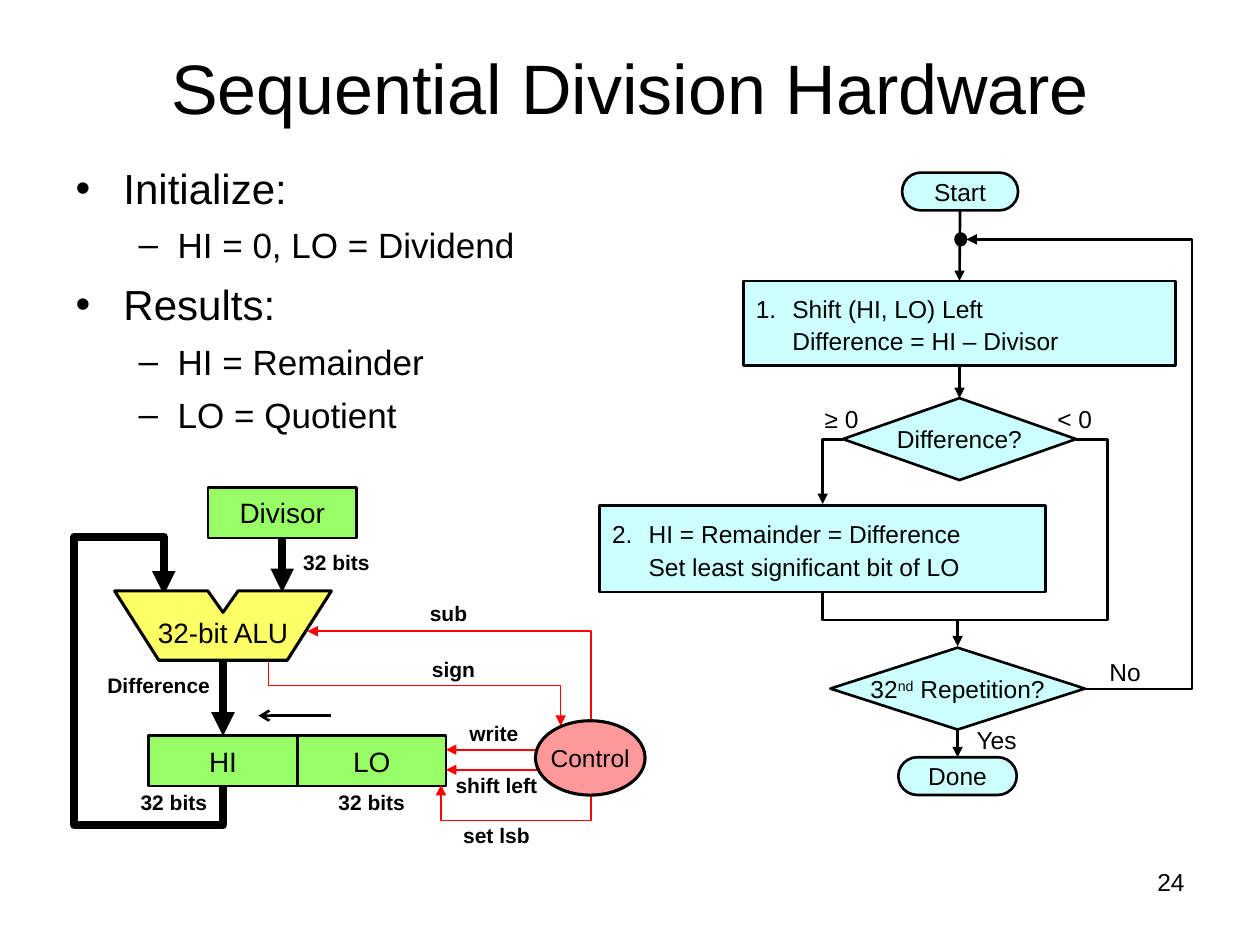
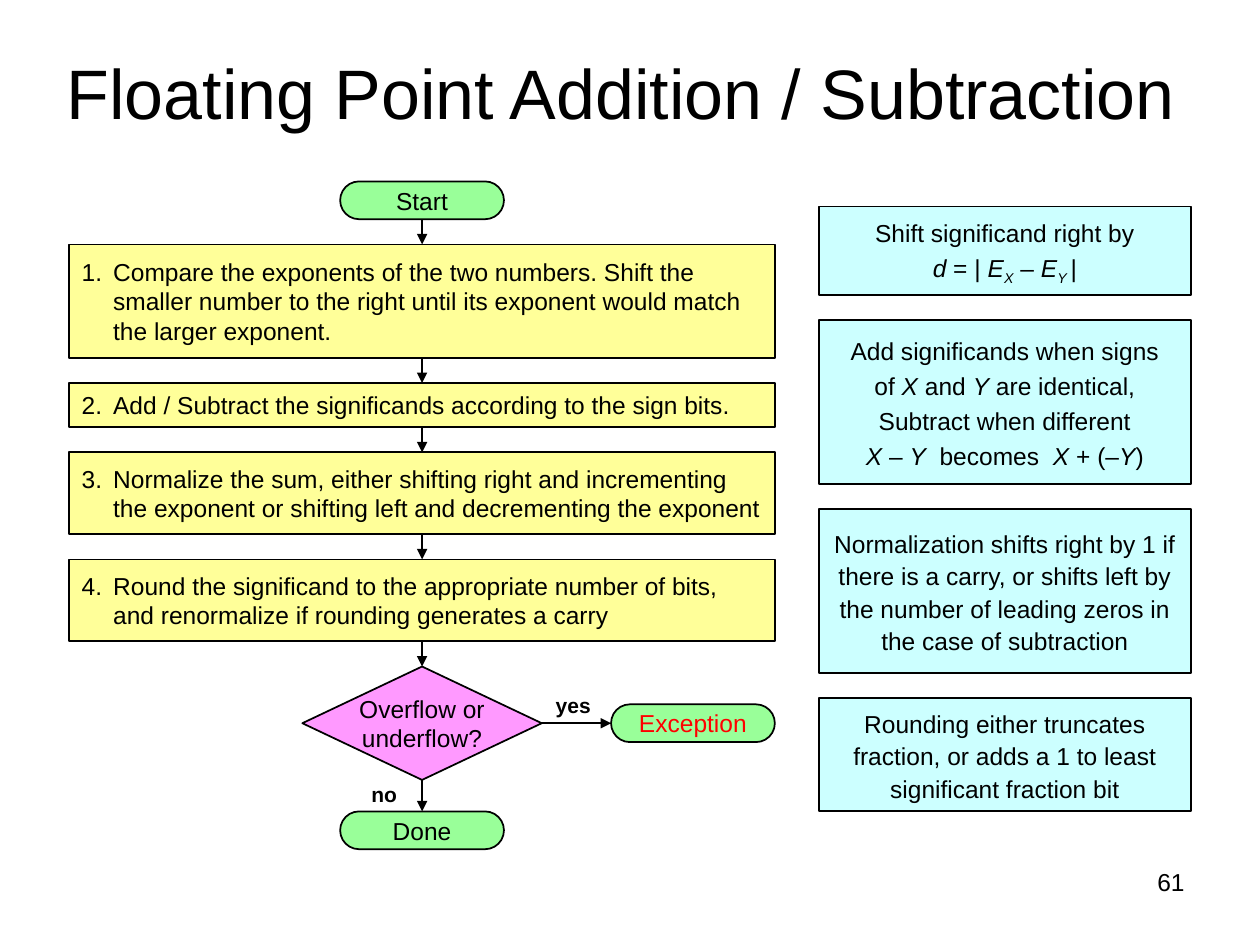
"""Builds two slides on division hardware and floating point addition."""
from dataclasses import dataclass
from itertools import pairwise
from lxml.etree import SubElement
from pptx import Presentation
from pptx.dml.color import RGBColor as Rgb
from pptx.enum.shapes import MSO_CONNECTOR as Wire, MSO_SHAPE as Form
from pptx.enum.text import MSO_ANCHOR as Anchor, PP_ALIGN as Align
from pptx.oxml.ns import qn
from pptx.util import Inches, Pt


@dataclass(frozen=True)
class Theme:
    """Colours, font and type sizes."""
    ink: str = "000000"
    red: str = "FF0000"
    aqua: str = "CCFFFF"
    lime: str = "99FF66"
    mint: str = "99FF99"
    sun: str = "FFFF66"
    cream: str = "FFFF99"
    rose: str = "FF9999"
    pink: str = "FF99FF"
    font: str = "Arial"
    title: int = 40
    lists: tuple = (24, 20)
    unit: int = 16
    text: int = 14
    tag: int = 12


T = Theme()
CELL = Inches(10) / 100
STYLES = {"i": {"italic": True}, "sub": {"italic": True, "base": -25}, "sup": {"base": 30}}
NODE = {"wrap": False}
PANEL = {"pad": (1, 0.5), "lead": 1.1}
FLOW = {**PANEL, "align": Align.LEFT, "hang": 2.9}
NOTE = {**PANEL, "gap": 1.5}
STEP = {"pad": (1, 0), "align": Align.LEFT, "hang": 2.5}
TAG = {"size": T.tag, "bold": True}

DIVIDE = {
    "title": ("Sequential Division Hardware", (5, 0.6, 90, 12.5)),
    "page": "24",
    "list": [(0, "Initialize:"), (1, "HI = 0, LO = Dividend"), (0, "Results:"),
             (1, "HI = Remainder"), (1, "LO = Quotient")],
    "flow": {
        "start": (Form.FLOWCHART_TERMINATOR, (71.6, 13.7, 9.2, 3), ["Start"], NODE),
        "shift": (Form.RECTANGLE, (59, 22.3, 34.3, 6.7),
                  ["1.\tShift (HI, LO) Left", "Difference = HI – Divisor"], FLOW),
        "test": (Form.FLOWCHART_DECISION, (66.9, 31.6, 18.5, 6.5), ["Difference?"], NODE),
        "set": (Form.RECTANGLE, (47.6, 40.1, 35.4, 6.9),
                ["2.\tHI = Remainder = Difference", "Set least significant bit of LO"], FLOW),
        "count": (Form.FLOWCHART_DECISION, (65.9, 51.4, 20.2, 6.5),
                  [[("32", ""), ("nd", "sup"), (" Repetition?", "")]], NODE),
        "done": (Form.FLOWCHART_TERMINATOR, (71.3, 60.1, 9.4, 3), ["Done"], NODE),
    },
    "joins": [("start", "shift"), ("shift", "test"), ("count", "done")],
    "routes": [
        [(66.9, 34.9), (65.3, 34.9), (65.3, 40)],
        [(85.4, 34.9), (87.9, 34.9), (87.9, 49.2), (76, 49.2), (76, 51.3)],
        [(86.1, 54.7), (94.6, 54.7), (94.6, 19), (76.7, 19)],
    ],
    "merge": [(65.3, 47), (65.3, 49.2), (76, 49.2)],
    "dot": (75.8, 18.5, 0.9, 1),
    "answers": [("≥ 0", 66.8, 33.2), ("< 0", 85.3, 33.2), ("No", 89.3, 53.3), ("Yes", 79.1, 58.7)],
    "units": {"Divisor": (16.5, 38.7), "HI": (11.8, 58.4), "LO": (23.6, 58.4)},
    "unit": (11.8, 4),
    "alu": [(26.3, 46.9), (18.9, 46.9), (17.7, 48.6), (16.5, 46.9), (9.1, 46.9),
            (12.6, 52.4), (22.8, 52.4)],
    "control": (42.5, 57.2, 8.7, 5.9),
    "signals": [
        ([(46.9, 57.2), (46.9, 50.1), (24.4, 50.1)], 1),
        ([(21.3, 52.5), (21.3, 54.4), (44.5, 54.4), (44.5, 57.6)], 0.75),
        ([(42.5, 59.5), (35.4, 59.5)], 1),
        ([(42.9, 61.1), (35.4, 61.1)], 1),
        ([(46.9, 63.1), (46.9, 65.1), (35, 65.1), (35, 62.3)], 0.75),
    ],
    "loop": [(17.7, 62.4), (17.7, 65.5), (5.9, 65.5), (5.9, 42.6), (13, 42.6), (13, 47.2)],
    "tags": [("32 bits", 26.7, 44.6), ("sub", 35.6, 48.7), ("sign", 36, 53.1),
             ("Difference", 12.6, 54.4), ("write", 39.2, 58.2), ("shift left", 39.4, 62.3),
             ("set lsb", 39.4, 66.3), ("32 bits", 13.8, 63.7), ("32 bits", 29.5, 63.7)],
}
FLOAT = {
    "title": ("Floating Point Addition / Subtraction", (3.4, 1, 91.7, 12.5)),
    "page": "61",
    "steps": [
        (9, "1.\tCompare the exponents of the two numbers. Shift the smaller number to the right "
            "until its exponent would match the larger exponent."),
        (3.5, "2.\tAdd / Subtract the significands according to the sign bits."),
        (6.5, "3.\tNormalize the sum, either shifting right and incrementing the exponent or "
              "shifting left and decrementing the exponent"),
        (6.5, "4.\tRound the significand to the appropriate number of bits, and renormalize if "
              "rounding generates a carry"),
    ],
    "test": ["Overflow or", "underflow?"],
    "notes": [
        (7, ["Shift significand right by",
             [("d", "i"), (" = | ", ""), ("E", "i"), ("X", "sub"), (" – ", ""), ("E", "i"),
              ("Y ", "sub"), ("|", "")]]),
        (13, ["Add significands when signs",
              [("of ", ""), ("X", "i"), (" and ", ""), ("Y", "i"), (" are identical,", "")],
              "Subtract when different",
              [("X", "i"), (" – ", ""), ("Y", "i"), ("  becomes  ", ""), ("X", "i"),
               (" + (–", ""), ("Y", "i"), (")", "")]]),
        (13, ["Normalization shifts right by 1 if there is a carry, or shifts left by the number "
              "of leading zeros in the case of subtraction"]),
        (9, ["Rounding either truncates fraction, or adds a 1 to least significant fraction bit"]),
    ],
    "tags": [("yes", 45.5, 56), ("no", 30.5, 63)],
}


def grid(*cells):
    """Turn grid cells into lengths."""
    return [round(c * CELL) for c in cells]


def put(item, values):
    """Set attributes from a dict."""
    for key, val in values.items():
        setattr(item, key, val)


def write(frame, paras, size=T.text, align=Align.CENTER, hang=0, lead=1.0, gap=0,
          pad=(0, 0), bold=False, ink=T.ink, wrap=True, anchor=Anchor.MIDDLE):
    """Fill a text frame with paragraphs of styled runs."""
    across, down = grid(*pad)
    put(frame, {"word_wrap": wrap, "vertical_anchor": anchor, "margin_left": across,
                "margin_right": across, "margin_top": down, "margin_bottom": down})
    for n, para in enumerate(paras):
        p = frame.add_paragraph() if n else frame.paragraphs[0]
        put(p, {"alignment": align, "line_spacing": lead, "space_before": Pt(gap if n else 0)})
        runs = [(para, "")] if isinstance(para, str) else para
        if hang:
            left, = grid(hang)
            indent(p, left, -left if "\t" in runs[0][0] else 0)
        for words, style in runs:
            run = p.add_run()
            run.text = words
            look = dict(STYLES.get(style, {}))
            base = look.pop("base", 0)
            put(run.font, {"name": T.font, "size": Pt(size), "bold": bold, **look})
            run.font.color.rgb = Rgb.from_string(ink)
            if base:
                run._r.get_or_add_rPr().set("baseline", str(base * 1000))


def indent(para, left, first):
    """Set the left margin and first line indent."""
    props = para._p.get_or_add_pPr()
    props.set("marL", str(left))
    props.set("indent", str(first))


def paint(shape, fill, width, ink=T.ink):
    """Give a shape its fill and line, without a shadow."""
    shape.shadow.inherit = False
    if fill:
        shape.fill.solid()
        shape.fill.fore_color.rgb = Rgb.from_string(fill)
    else:
        shape.fill.background()
    stroke(shape, width, ink)


def stroke(shape, width, ink):
    """Set line colour and width."""
    shape.line.color.rgb = Rgb.from_string(ink)
    shape.line.width = Pt(width)


def box(slide, form, at, paras, fill, width=1, **look):
    """Add a preset shape with text."""
    shape = slide.shapes.add_shape(form, *grid(*at))
    if form == Form.ROUNDED_RECTANGLE:
        shape.adjustments[0] = 0.5
    paint(shape, fill, width)
    write(shape.text_frame, paras, **look)
    return shape


def trace(slide, points, close):
    """Add a freeform through grid points."""
    first, *rest = [grid(*pt) for pt in points]
    pen = slide.shapes.build_freeform(*first)
    pen.add_line_segments(rest, close=close)
    return pen.convert_to_shape()


def route(slide, points, width, ink=T.ink, head="triangle", start=None, end=None):
    """Draw a straight or bent arrow, joined to rectangles where given."""
    if len(points) > 2:
        line = trace(slide, points, False)
        paint(line, None, width, ink)
    else:
        line = slide.shapes.add_connector(Wire.STRAIGHT, *grid(*points[0], *points[1]))
        stroke(line, width, ink)
        SubElement(line._element.spPr, qn("a:effectLst"))
        if start:
            line.begin_connect(*start)
        if end:
            line.end_connect(*end)
    if head:
        SubElement(line.line._get_or_add_ln(), qn("a:tailEnd"), type=head)


def join(slide, a, b, width, sides=(2, 0)):
    """Link two shapes by a straight arrow."""
    route(slide, [(0, 0), (1, 1)], width, start=(a, sides[0]), end=(b, sides[1]))


def label(slide, tags, **look):
    """Add text boxes around centre points."""
    for words, x, y in tags:
        area = slide.shapes.add_textbox(*grid(x - 5, y - 1.2, 10, 2.4))
        write(area.text_frame, [words], **look)


def place(item, at):
    """Move and size a shape."""
    put(item, dict(zip(("left", "top", "width", "height"), grid(*at))))


def begin(deck, layout, data):
    """Add a slide with its title and page number."""
    slide = deck.slides.add_slide(deck.slide_layouts[layout])
    words, at = data["title"]
    place(slide.shapes.title, at)
    write(slide.shapes.title.text_frame, [words], size=T.title, pad=(1, 0.5))
    page = slide.shapes.add_textbox(*grid(71.7, 68.3, 23.3, 5.2))
    write(page.text_frame, [data["page"]], align=Align.RIGHT, pad=(1, 0.5), anchor=Anchor.TOP)
    return slide


def divide(deck, data):
    """Build the division slide."""
    slide = begin(deck, 1, data)
    body = slide.placeholders[1]
    place(body, (5, 12.4, 56.8, 27.4))
    write(body.text_frame, [words for _, words in data["list"]], align=Align.LEFT,
          pad=(1, 0.5), anchor=Anchor.TOP)
    for n, (p, (level, _)) in enumerate(zip(body.text_frame.paragraphs, data["list"])):
        size = T.lists[level]
        put(p, {"level": level, "space_before": Pt(size * 0.31 if n else 0)})
        p.runs[0].font.size = Pt(size)
        indent(p, *[grid(3.8, -3.8), grid(8.1, -3.1)][level])

    nodes = {key: box(slide, form, at, paras, T.aqua, 1.5, **look)
             for key, (form, at, paras, look) in data["flow"].items()}
    for a, b in data["joins"]:
        join(slide, nodes[a], nodes[b], 1.5)
    for points in data["routes"]:
        route(slide, points, 1.5)
    route(slide, data["merge"], 1.5, head=None)
    box(slide, Form.OVAL, data["dot"], [], T.ink)
    label(slide, data["answers"])

    units = {key: box(slide, Form.RECTANGLE, (*at, *data["unit"]), [key], T.lime, 1.5, size=T.unit)
             for key, at in data["units"].items()}
    route(slide, [(22.4, 42.7), (22.4, 47)], 4.5, start=(units["Divisor"], 2))
    route(slide, [(17.7, 52.1), (17.7, 58.4)], 4.5, end=(units["HI"], 0))
    route(slide, data["loop"], 4.5)
    for points, width in data["signals"]:
        route(slide, points, width, T.red)
    route(slide, [(26.3, 56.8), (20.5, 56.8)], 1.5, head="arrow")
    alu = trace(slide, data["alu"], True)
    paint(alu, T.sun, 1.75)
    write(alu.text_frame, ["32-bit ALU"], size=T.unit, wrap=False)
    alu.text_frame.margin_top, = grid(1)
    box(slide, Form.OVAL, data["control"], ["Control"], T.rose, 1.75, **NODE)
    label(slide, data["tags"], **TAG)


def add(deck, data):
    """Build the floating point slide."""
    slide = begin(deck, 5, data)
    mid, gap, pill = 33.5, 2, (13, 3)
    chain = [box(slide, Form.ROUNDED_RECTANGLE, (mid - 6.5, 14.4, *pill), ["Start"], T.mint)]
    top = 14.4 + pill[1] + gap
    for tall, words in data["steps"]:
        chain.append(box(slide, Form.RECTANGLE, (5.5, top, 56, tall), [words], T.cream, **STEP))
        top += tall + gap
    test = box(slide, Form.DIAMOND, (mid - 9.5, top, 19, 9), data["test"], T.pink, **NODE)
    done = box(slide, Form.ROUNDED_RECTANGLE, (mid - 6.5, top + 11.5, *pill), ["Done"], T.mint)
    fault = box(slide, Form.ROUNDED_RECTANGLE, (48.5, top + 3, *pill), ["Exception"], T.mint,
                ink=T.red)
    for a, b in pairwise([*chain, test, done]):
        join(slide, a, b, 1)
    join(slide, test, fault, 1, (3, 1))
    label(slide, data["tags"], **TAG)

    top = 16.4
    for tall, paras in data["notes"]:
        box(slide, Form.RECTANGLE, (65, top, 29.5, tall), paras, T.aqua, **NOTE)
        top += tall + gap


def main():
    """Build and save the deck."""
    deck = Presentation()
    put(deck, {"slide_width": Inches(10), "slide_height": Inches(7.5)})
    divide(deck, DIVIDE)
    add(deck, FLOAT)
    deck.save("out.pptx")


if __name__ == "__main__":
    main()
